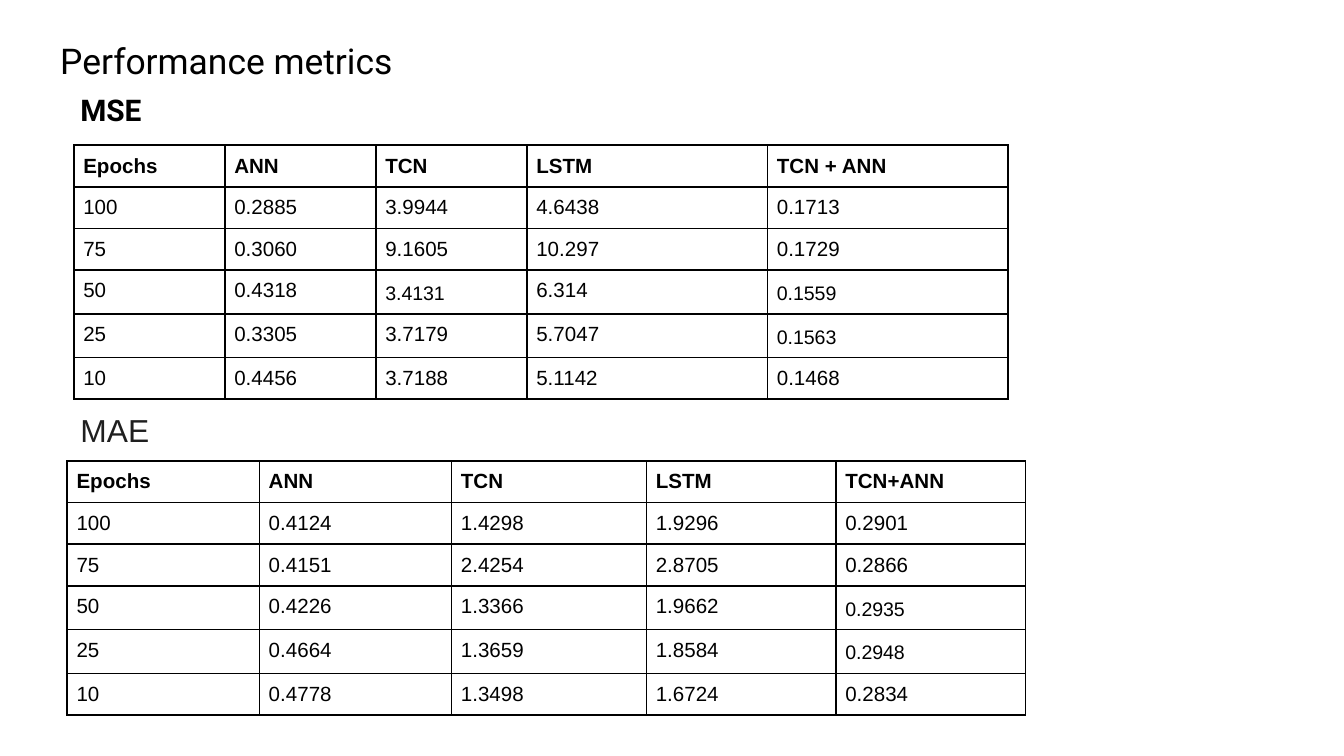
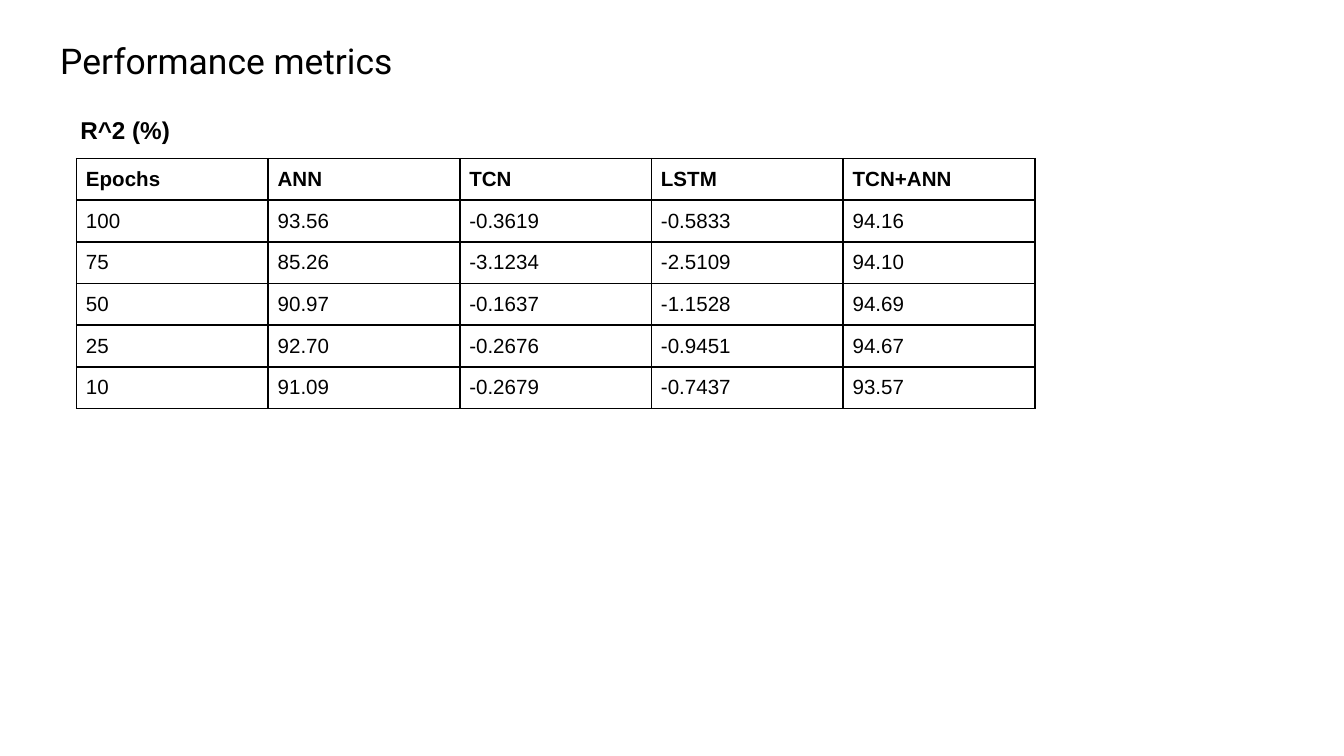
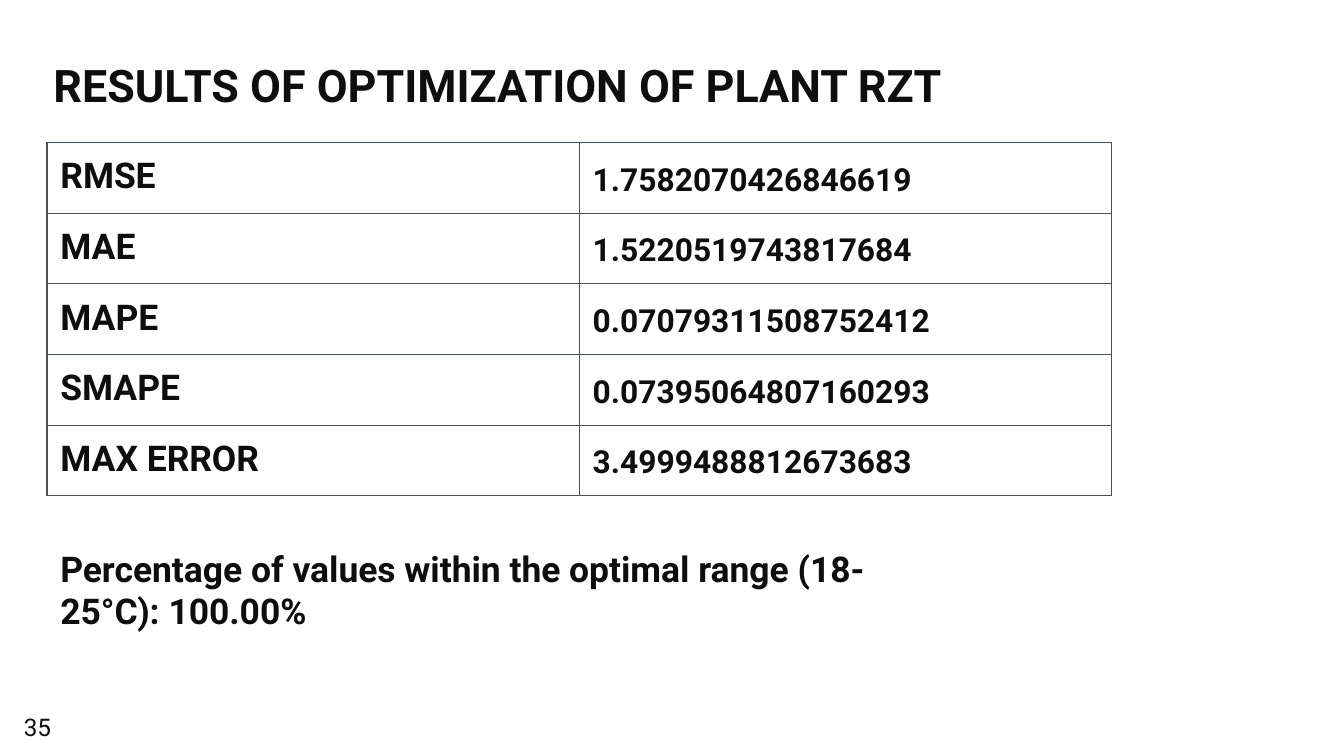
from dataclasses import dataclass

from lxml import etree
from pptx import Presentation
from pptx.dml.color import RGBColor
from pptx.enum.text import MSO_ANCHOR, MSO_AUTO_SIZE, PP_ALIGN
from pptx.oxml.ns import qn
from pptx.util import Inches, Pt

TOP, MIDDLE = MSO_ANCHOR.TOP, MSO_ANCHOR.MIDDLE
GROW, FIXED = MSO_AUTO_SIZE.SHAPE_TO_FIT_TEXT, MSO_AUTO_SIZE.NONE
LEFT, JUSTIFY = PP_ALIGN.LEFT, PP_ALIGN.JUSTIFY

# The slide is a grid of 100 columns by 56.25 rows, each cell 0.1 inch square
COLUMNS, ROWS = 100, 56.25
CELL = 0.1


@dataclass(frozen=True)
class Theme:
    black: str = "000000"
    ink: str = "0E0E0E"
    soft: str = "1F1F1F"
    rule: str = "484F56"
    background: str = "FFFFFF"
    heading_font: str = "Roboto"
    data_font: str = "Arial"
    headline: float = 24
    title: float = 19
    result: float = 17
    metric: float = 16
    note: float = 13
    data: float = 11
    data_small: float = 10.5
    leading: float = 1.15


THEME = Theme()


def grid(cells):
    return Inches(cells * CELL)


def apply(target, formats):
    for attribute, value in formats.items():
        setattr(target, attribute, value)


def margins(inset):
    return {f"margin_{side}": grid(inset) for side in ("left", "right", "top", "bottom")}


class Deck:
    def __init__(self, theme):
        self.theme = theme
        self.deck = Presentation()
        apply(self.deck, {"slide_width": grid(COLUMNS), "slide_height": grid(ROWS)})
        self.slide = None

    def new_slide(self):
        self.slide = self.deck.slides.add_slide(self.deck.slide_layouts[6])
        fill = self.slide.background.fill
        fill.solid()
        fill.fore_color.rgb = RGBColor.from_string(self.theme.background)

    def put_words(self, frame, words, size, font, color, bold=False, leading=None, align=LEFT):
        paragraph = frame.paragraphs[0]
        apply(paragraph, {"alignment": align, "line_spacing": leading})
        run = paragraph.add_run()
        run.text = words
        apply(run.font, {"size": Pt(size), "name": font, "bold": bold})
        run.font.color.rgb = RGBColor.from_string(color)

    def text(self, place, words, anchor=TOP, fit=FIXED, **style):
        frame = self.slide.shapes.add_textbox(*map(grid, place)).text_frame
        apply(frame, {"word_wrap": True, "auto_size": fit, "vertical_anchor": anchor,
                      **margins(1)})
        self.put_words(frame, words, **style)

    def title(self, words):
        self.text((3.5, 1.9, 65.7, 6.4), words, size=self.theme.title,
                  font=self.theme.heading_font, color=self.theme.black)

    def borders(self, cell, color, width):
        properties = cell._tc.get_or_add_tcPr()
        for position, side in enumerate(("lnL", "lnR", "lnT", "lnB")):
            line = etree.Element(qn(f"a:{side}"), w=str(Pt(width)))
            paint = etree.SubElement(line, qn("a:solidFill"))
            etree.SubElement(paint, qn("a:srgbClr"), val=color)
            properties.insert(position, line)

    def table(self, left, top, widths, heights, rows, style_of, inset, line, line_width):
        frame = self.slide.shapes.add_table(
            len(rows), len(widths), grid(left), grid(top), grid(sum(widths)), grid(sum(heights)))
        table = frame.table
        apply(table, {"first_row": False, "horz_banding": False})
        for column, width in zip(table.columns, widths):
            column.width = grid(width)
        for row, height in zip(table.rows, heights):
            row.height = grid(height)
        for r, values in enumerate(rows):
            for c, value in enumerate(values):
                cell = table.cell(r, c)
                apply(cell, margins(inset))
                cell.fill.background()
                self.borders(cell, line, line_width)
                self.put_words(cell.text_frame, value, **style_of(r, c))

    def metric_table(self, left, top, widths, rows, small=()):
        """Scores by epoch; small lists the (row, column) places set in smaller type."""
        theme = self.theme

        def style_of(r, c):
            style = {"size": theme.data, "font": theme.data_font,
                     "color": theme.black, "bold": r == 0}
            if (r, c) in small:
                style.update(size=theme.data_small, leading=theme.leading)
            return style

        heights = [1.6] + [2.3] * (len(rows) - 1)
        self.table(left, top, widths, heights, rows, style_of, 0.7, theme.black, 1)

    def result_table(self, left, top, widths, rows):
        theme = self.theme
        base = {"font": theme.heading_font, "color": theme.ink, "bold": True}
        columns = ({**base, "size": theme.title},
                   {**base, "size": theme.result, "leading": theme.leading, "align": JUSTIFY})
        self.table(left, top, widths, [4.2] * len(rows), rows,
                   lambda r, c: columns[c], 1, theme.rule, 0.75)


MODELS = ["Epochs", "ANN", "TCN", "LSTM", "TCN+ANN"]
MSE = [
    MODELS[:-1] + ["TCN + ANN"],
    ["100", "0.2885", "3.9944", "4.6438", "0.1713"],
    ["75", "0.3060", "9.1605", "10.297", "0.1729"],
    ["50", "0.4318", "3.4131", "6.314", "0.1559"],
    ["25", "0.3305", "3.7179", "5.7047", "0.1563"],
    ["10", "0.4456", "3.7188", "5.1142", "0.1468"],
]
MAE = [
    MODELS,
    ["100", "0.4124", "1.4298", "1.9296", "0.2901"],
    ["75", "0.4151", "2.4254", "2.8705", "0.2866"],
    ["50", "0.4226", "1.3366", "1.9662", "0.2935"],
    ["25", "0.4664", "1.3659", "1.8584", "0.2948"],
    ["10", "0.4778", "1.3498", "1.6724", "0.2834"],
]
R_SQUARED = [
    MODELS,
    ["100", "93.56", "-0.3619", "-0.5833", "94.16"],
    ["75", "85.26", "-3.1234", "-2.5109", "94.10"],
    ["50", "90.97", "-0.1637", "-1.1528", "94.69"],
    ["25", "92.70", "-0.2676", "-0.9451", "94.67"],
    ["10", "91.09", "-0.2679", "-0.7437", "93.57"],
]
OPTIMIZATION = [
    ["RMSE", "1.7582070426846619"],
    ["MAE", "1.5220519743817684"],
    ["MAPE", "0.07079311508752412"],
    ["SMAPE", "0.07395064807160293"],
    ["MAX ERROR", "3.4999488812673683"],
]


def main():
    deck = Deck(THEME)

    # Error metrics: MSE and MAE
    deck.new_slide()
    deck.title("Performance metrics")
    deck.text((5, 5.8, 65.7, 6.4), "MSE", size=THEME.metric,
              font=THEME.heading_font, color=THEME.black, bold=True)
    deck.metric_table(5.5, 10.8, [11.24] * 3 + [17.9] * 2, MSE, small={(3, 2), (3, 4), (4, 4)})
    deck.metric_table(5, 34.3, [14.3, 14.3, 14.5, 14.1, 14.1], MAE, small={(3, 4), (4, 4)})
    deck.text((5, 29.6, 48.8, 3), "MAE", size=THEME.result,
              font=THEME.data_font, color=THEME.soft)

    # Coefficient of determination
    deck.new_slide()
    deck.title("Performance metrics")
    deck.text((5, 7.6, 65.7, 6.4), "R^2 (%)", size=THEME.note,
              font=THEME.data_font, color=THEME.black, bold=True)
    deck.metric_table(5.7, 11.8, [14.26] * 5, R_SQUARED)

    # Optimization results
    deck.new_slide()
    body = {"font": THEME.heading_font, "color": THEME.ink}
    deck.text((0.8, 51.9, 6, 4.3), "35", anchor=MIDDLE, size=THEME.note, **body)
    deck.text((3, 2.7, 94, 6.1), "RESULTS OF OPTIMIZATION OF PLANT RZT", fit=GROW,
              size=THEME.headline, bold=True, leading=THEME.leading, **body)
    deck.result_table(3.5, 10.6, [39.6] * 2, OPTIMIZATION)
    deck.text((3.5, 39.7, 64.5, 8.4),
              "Percentage of values within the optimal range (18-25°C): 100.00%",
              fit=GROW, size=THEME.title, bold=True, **body)

    deck.deck.save("out.pptx")


if __name__ == "__main__":
    main()
